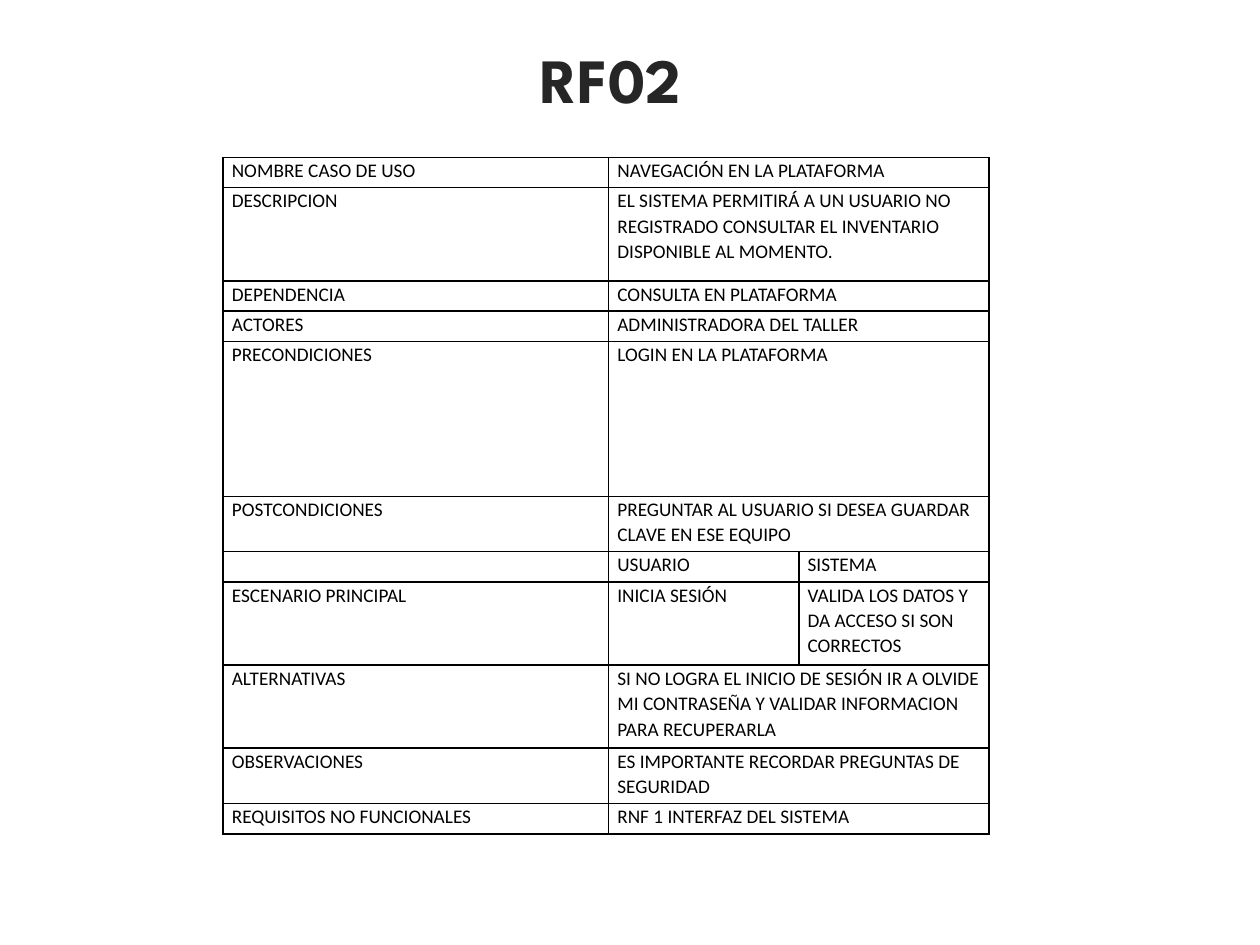
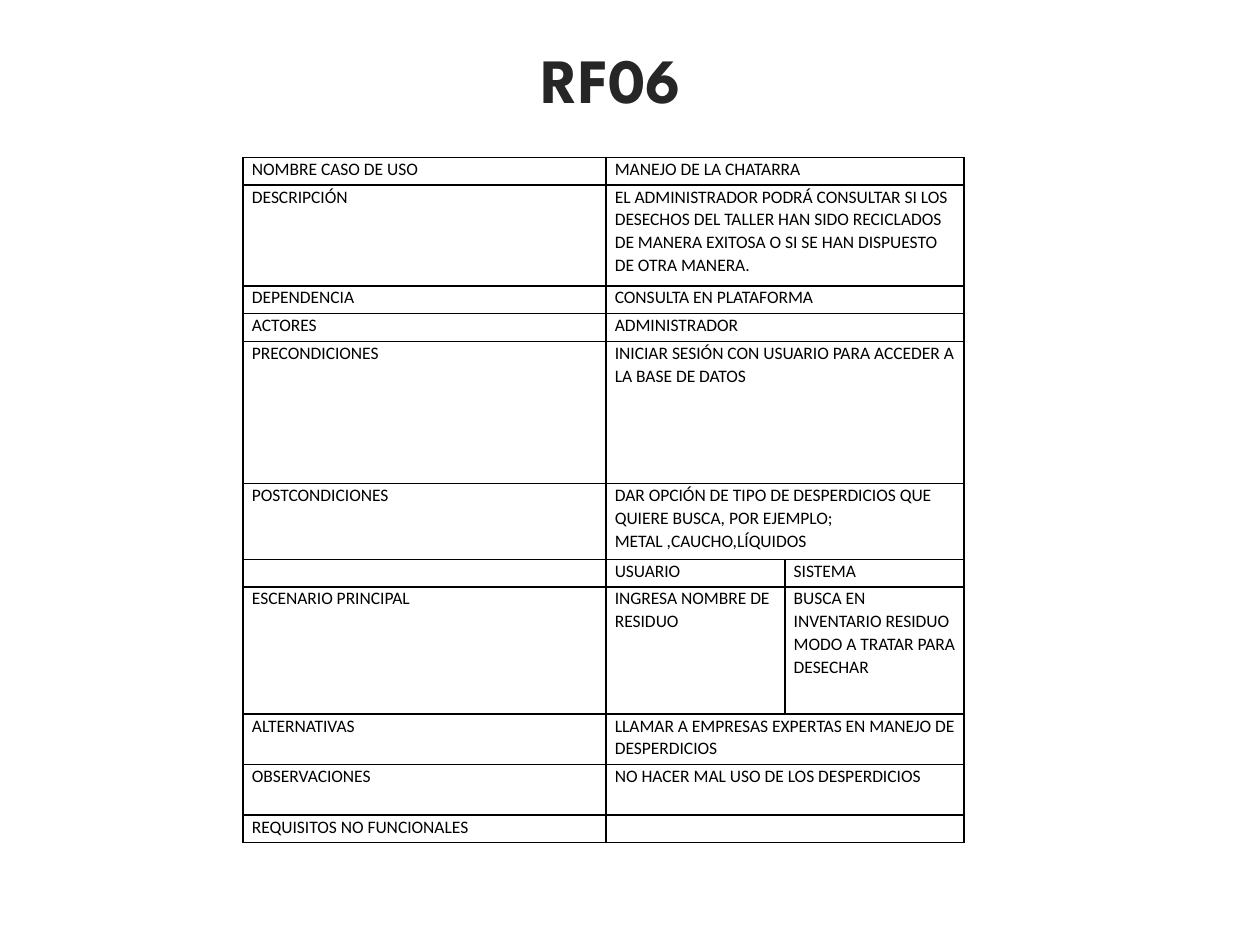
from dataclasses import dataclass

from lxml import etree
from pptx import Presentation
from pptx.dml.color import RGBColor
from pptx.enum import text
from pptx.oxml import ns
from pptx.util import Inches, Pt


@dataclass(frozen=True)
class Theme:
    title_font: str = "League Spartan"
    body_font: str = "Calibri"
    title_color: str = "262626"
    ink: str = "000000"
    paper: str = "FFFFFF"
    title_size: float = 36
    outline: float = 0.75
    border: float = 1
    line_spacing: float = 1.07


# Grid of the slide: 100 columns by 75 rows
COLUMNS, ROWS = 100, 75
TABLE_TOP = 12.5
CELL_INSET = 0.7

# Field names shared by every use case; the description is spelled per case
FIELDS = ["NOMBRE CASO DE USO", None, "DEPENDENCIA", "ACTORES", "PRECONDICIONES",
          "POSTCONDICIONES", "", "ESCENARIO PRINCIPAL", "ALTERNATIVAS",
          "OBSERVACIONES", "REQUISITOS NO FUNCIONALES"]


@dataclass(frozen=True)
class UseCase:
    code: str
    description_field: str
    size: float
    left: float
    widths: tuple
    heights: tuple
    answers: tuple  # a pair fills the user and system columns


USE_CASES = [
    UseCase(
        "RF02", "DESCRIPCION", 11, 17.7, (30.6, 15.1, 15.1),
        (2.4, 7.4, 2.4, 2.4, 12.3, 4.4, 2.4, 6.6, 6.6, 4.4, 2.4),
        ("NAVEGACIÓN EN LA PLATAFORMA",
         "EL SISTEMA PERMITIRÁ A UN USUARIO NO REGISTRADO CONSULTAR EL "
         "INVENTARIO DISPONIBLE AL MOMENTO.",
         "CONSULTA EN PLATAFORMA",
         "ADMINISTRADORA DEL TALLER",
         "LOGIN EN LA PLATAFORMA",
         "PREGUNTAR AL USUARIO SI DESEA GUARDAR CLAVE EN ESE EQUIPO",
         ("USUARIO", "SISTEMA"),
         ("INICIA SESIÓN", "VALIDA LOS DATOS Y DA ACCESO SI SON CORRECTOS"),
         "SI NO LOGRA EL INICIO DE SESIÓN IR A OLVIDE MI CONTRASEÑA Y "
         "VALIDAR INFORMACION PARA RECUPERARLA",
         "ES IMPORTANTE RECORDAR PREGUNTAS DE SEGURIDAD",
         "RNF 1 INTERFAZ DEL SISTEMA")),
    UseCase(
        "RF06", "DESCRIPCIÓN", 10, 19.3, (28.8, 14.2, 14.2),
        (2.2, 8, 2.2, 2.2, 11.3, 6, 2.2, 10.1, 4, 4, 2.2),
        ("MANEJO DE LA CHATARRA",
         "EL ADMINISTRADOR PODRÁ CONSULTAR SI LOS DESECHOS DEL TALLER HAN "
         "SIDO RECICLADOS DE MANERA EXITOSA O SI SE HAN DISPUESTO DE OTRA MANERA.",
         "CONSULTA EN PLATAFORMA",
         "ADMINISTRADOR",
         "INICIAR SESIÓN CON USUARIO PARA ACCEDER A LA BASE DE DATOS",
         "DAR OPCIÓN DE TIPO DE DESPERDICIOS QUE QUIERE BUSCA, POR EJEMPLO; "
         "METAL ,CAUCHO,LÍQUIDOS",
         ("USUARIO", "SISTEMA"),
         ("INGRESA NOMBRE DE RESIDUO",
          "BUSCA EN INVENTARIO RESIDUO MODO A TRATAR PARA DESECHAR"),
         "LLAMAR A EMPRESAS EXPERTAS EN MANEJO DE DESPERDICIOS",
         "NO HACER MAL USO DE LOS DESPERDICIOS",
         "")),
]


def add_line(parent, tag, color, points):
    """Append a solid line element to run or cell properties."""
    line = etree.SubElement(parent, ns.qn(tag), w=str(Pt(points)))
    fill = etree.SubElement(line, ns.qn("a:solidFill"))
    etree.SubElement(fill, ns.qn("a:srgbClr"), val=color)


class Deck:
    def __init__(self, theme):
        self.theme = theme
        self.prs = Presentation()
        self.prs.slide_width, self.prs.slide_height = Inches(10), Inches(7.5)
        self.slide = None

    def x(self, columns):
        return round(self.prs.slide_width * columns / COLUMNS)

    def y(self, rows):
        return round(self.prs.slide_height * rows / ROWS)

    def new_slide(self):
        self.slide = self.prs.slides.add_slide(self.prs.slide_layouts[5])
        background = self.slide.background.fill
        background.solid()
        background.fore_color.rgb = RGBColor.from_string(self.theme.paper)

    def add_run(self, paragraph, words, font, size, color, bold=False):
        run = paragraph.add_run()
        run.text = words
        run.font.name, run.font.size, run.font.bold = font, Pt(size), bold
        return run, color

    def title(self, words):
        theme, heading = self.theme, self.slide.shapes.title
        heading.left, heading.top = self.x(3.5), 0
        heading.width, heading.height = self.x(90), self.y(12.5)
        frame = heading.text_frame
        frame.word_wrap = True
        frame.auto_size = text.MSO_AUTO_SIZE.NONE
        frame.vertical_anchor = text.MSO_ANCHOR.MIDDLE
        paragraph = frame.paragraphs[0]
        paragraph.alignment = text.PP_ALIGN.CENTER
        run = paragraph.add_run()
        run.text = words
        # The outline comes first among the run properties
        add_line(run.font._element, "a:ln", theme.paper, theme.outline)
        self.style(run.font, theme.title_font, theme.title_size, theme.title_color)
        run.font.bold = True

    def style(self, font, name, size, color):
        font.size = Pt(size)
        font.fill.solid()
        font.fill.fore_color.rgb = RGBColor.from_string(color)
        font.name = name

    def cell(self, cell, words, size):
        theme = self.theme
        cell.margin_left = cell.margin_right = self.x(CELL_INSET)
        cell.margin_top = cell.margin_bottom = 0
        paragraph = cell.text_frame.paragraphs[0]
        paragraph.line_spacing = theme.line_spacing
        if words:
            run = paragraph.add_run()
            run.text = words
            self.style(run.font, theme.body_font, size, theme.ink)
        else:
            # Keeps an empty cell as low as a line of text
            etree.SubElement(paragraph._p, ns.qn("a:endParaRPr"), sz=str(size * 100))
        properties = cell._tc.get_or_add_tcPr()
        for side in "LRTB":
            add_line(properties, f"a:ln{side}", theme.ink, theme.border)
        cell.fill.background()

    def use_case_table(self, case):
        table = self.slide.shapes.add_table(
            len(case.heights), len(case.widths), self.x(case.left), self.y(TABLE_TOP),
            self.x(sum(case.widths)), self.y(sum(case.heights))).table
        table.first_row = table.horz_banding = False
        for column, width in zip(table.columns, case.widths):
            column.width = self.x(width)
        for index, (field, answer) in enumerate(zip(FIELDS, case.answers)):
            table.rows[index].height = self.y(case.heights[index])
            label = case.description_field if field is None else field
            split = isinstance(answer, tuple)
            row = (label, *answer) if split else (label, answer, "")
            for position, words in enumerate(row):
                self.cell(table.cell(index, position), words, case.size)
            if not split:
                table.cell(index, 1).merge(table.cell(index, 2))


def main():
    deck = Deck(Theme())
    for case in USE_CASES:
        deck.new_slide()
        deck.title(case.code)
        deck.use_case_table(case)
    deck.prs.save("out.pptx")


if __name__ == "__main__":
    main()
